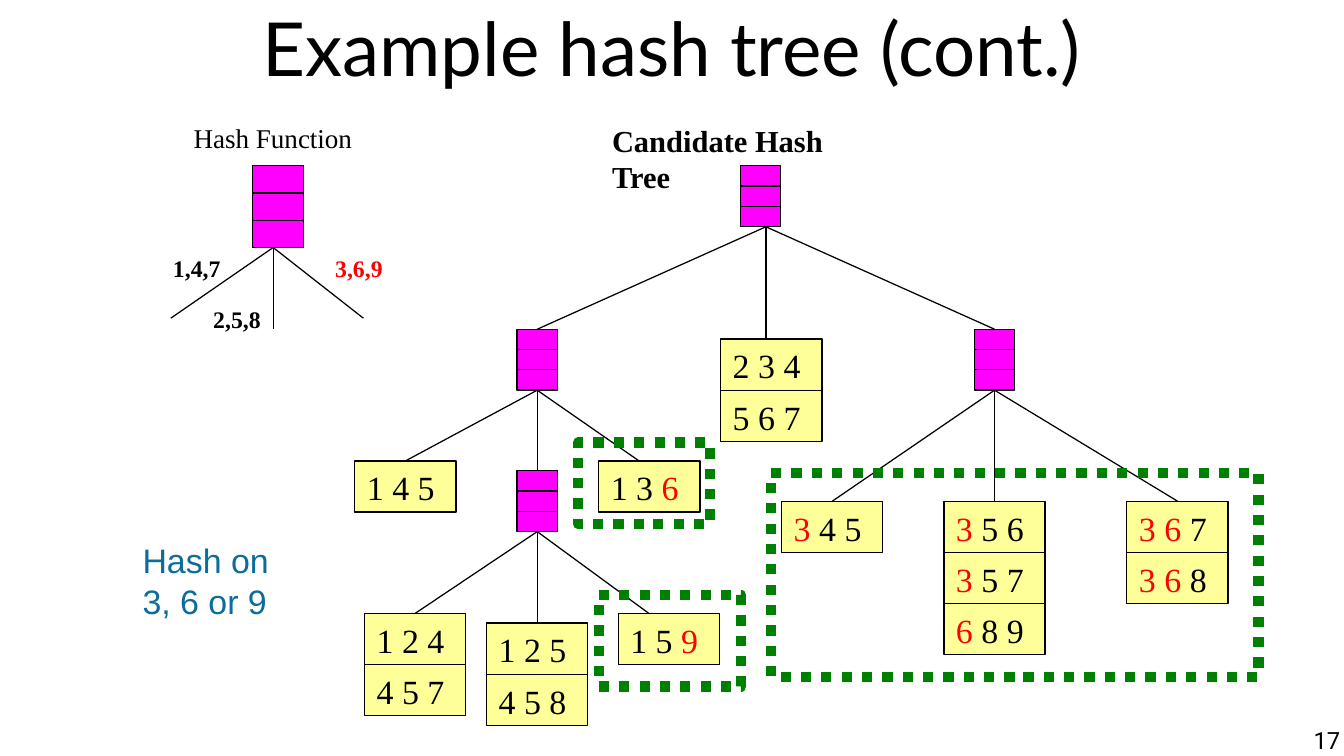
"""Build the slide that shows a candidate hash tree and its hash function."""
from dataclasses import dataclass
from typing import Optional

from lxml import etree
from pptx import Presentation
from pptx import util as u
from pptx.dml.color import RGBColor
from pptx.enum import dml, shapes, text


@dataclass(frozen=True)
class Theme:
    ink: str = "000000"
    hot: str = "FF0000"
    node: str = "FF00FF"
    leaf: str = "FFFF99"
    frame: str = "008000"
    note: str = "0C6D9C"
    serif: str = "Times New Roman"
    sans: str = "Arial"
    head: str = "Lato"
    foot: str = "Roboto"
    title: int = 44
    big: int = 20
    mid: int = 18
    small: int = 16
    tiny: int = 14
    thin: float = 0.75
    thick: float = 6


@dataclass(frozen=True)
class Node:
    name: str
    x: float
    y: float
    w: float = 0.33
    h: float = 0.5


@dataclass(frozen=True)
class Leaf:
    name: str
    x: float
    y: float
    rows: tuple[str, ...]


@dataclass(frozen=True)
class Link:
    """Join two boxes; a given x leaves that end free of the side's middle."""
    top: str
    low: str
    x1: Optional[float] = None
    x2: Optional[float] = None


@dataclass(frozen=True)
class Label:
    words: str
    x: float
    y: float
    w: float
    h: float
    size: int
    font: str = "Times New Roman"
    color: str = "000000"
    bold: bool = False
    wrap: bool = False
    pad: float = 0.1
    align: text.PP_ALIGN = text.PP_ALIGN.LEFT


T = Theme()
LEAF_W, LEAF_H = 0.83, 0.42

NODES = [
    Node("root", 6.07, 1.36),
    Node("left", 4.24, 2.7),
    Node("right", 7.99, 2.7),
    Node("deep", 4.24, 3.86),
    Node("hash", 2.07, 1.36, 0.42, 0.67),
]
LEAVES = [
    Leaf("234", 5.91, 2.78, ("2 3 4", "5 6 7")),
    Leaf("145", 2.91, 3.78, ("1 4 5",)),
    Leaf("136", 4.91, 3.78, ("1 3 *6*",)),
    Leaf("345", 6.41, 4.11, ("*3* 4 5",)),
    Leaf("356", 7.74, 4.11, ("*3* 5 6", "*3* 5 7", "*6* 8 9")),
    Leaf("367", 9.24, 4.11, ("*3 6* 7", "*3 6* 8")),
    Leaf("124", 2.99, 5.03, ("1 2 4", "4 5 7")),
    Leaf("125", 3.99, 5.11, ("1 2 5", "4 5 8")),
    Leaf("159", 5.07, 5.03, ("1 5 *9*",)),
]
LINKS = [
    Link("root", "left", x1=6.28),
    Link("root", "234", 6.28, 6.28),
    Link("root", "right", x1=6.28),
    Link("left", "145"),
    Link("left", "deep"),
    Link("left", "136", x2=5.24),
    Link("right", "345"),
    Link("right", "356"),
    Link("right", "367"),
    Link("deep", "124"),
    Link("deep", "125"),
    Link("deep", "159", x2=5.32),
]
RAYS = [(1.4, 2.61), (2.24, 2.7), (2.98, 2.61)]
FRAMES = [(4.91, 4.88, 1.17, 0.75), (6.32, 3.88, 4, 1.67), (4.74, 3.63, 1.08, 0.67)]
LABELS = [
    Label("1,4,7", 1.32, 2.03, 0.59, 0.33, T.tiny, bold=True),
    Label("2,5,8", 1.65, 2.45, 0.59, 0.33, T.tiny, bold=True),
    Label("3,6,9", 2.65, 2.03, 0.59, 0.33, T.tiny, color=T.hot, bold=True),
    Label("Hash Function", 1.49, 0.95, 1.5, 0.37, T.small),
    Label("Candidate Hash Tree", 4.92, 0.95, 2.46, 0.4, T.mid, bold=True),
    Label("Hash on 3, 6 or 9", 1.07, 4.38, 1.25, 0.77, T.big, T.sans, T.note, wrap=True),
    Label("17", 8.42, 5.95, 2.57, 0.25, T.tiny, T.foot, wrap=True, pad=0,
          align=text.PP_ALIGN.RIGHT),
]


def add_run(para, words: str, size: int, font: str, color: str, bold: bool = False) -> None:
    run = para.add_run()
    run.text = words
    run.font.size = u.Pt(size)
    run.font.name = font
    run.font.bold = bold
    run.font.color.rgb = RGBColor.from_string(color)


def set_frame(frame, pad: float, wrap: bool) -> None:
    frame.word_wrap = wrap
    frame.margin_left = frame.margin_right = u.Inches(pad)
    frame.margin_top = frame.margin_bottom = u.Inches(pad / 2)


def add_rect(slide, x: float, y: float, w: float, h: float, fill: Optional[str],
             line: str = T.ink, width: float = T.thin):
    rect = slide.shapes.add_shape(shapes.MSO_SHAPE.RECTANGLE, *map(u.Inches, (x, y, w, h)))
    rect.shadow.inherit = False
    if fill:
        rect.fill.solid()
        rect.fill.fore_color.rgb = RGBColor.from_string(fill)
    else:
        rect.fill.background()
    rect.line.color.rgb = RGBColor.from_string(line)
    rect.line.width = u.Pt(width)
    return rect


def add_line(slide, x1: int, y1: int, x2: int, y2: int):
    line = slide.shapes.add_connector(shapes.MSO_CONNECTOR.STRAIGHT, x1, y1, x2, y2)
    line.line.color.rgb = RGBColor.from_string(T.ink)
    line.line.width = u.Pt(T.thin)
    props = line._element.spPr
    etree.SubElement(props, "{http://schemas.openxmlformats.org/drawingml/2006/main}effectLst")
    return line


def add_node(slide, node: Node):
    box = add_rect(slide, node.x, node.y, node.w, node.h, T.node)
    for part in (1, 2):
        y = u.Inches(node.y + node.h * part / 3)
        add_line(slide, box.left, y, box.left + box.width, y)
    return box


def add_leaf(slide, leaf: Leaf):
    boxes = []
    for row, words in enumerate(leaf.rows):
        box = add_rect(slide, leaf.x, leaf.y + row * LEAF_H, LEAF_W, LEAF_H, T.leaf)
        set_frame(box.text_frame, 0.1, False)
        box.text_frame.vertical_anchor = text.MSO_ANCHOR.TOP
        para = box.text_frame.paragraphs[0]
        para.alignment = text.PP_ALIGN.LEFT
        for part, piece in enumerate(words.split("*")):
            if piece:
                add_run(para, piece, T.big, T.serif, T.hot if part % 2 else T.ink)
        boxes.append(box)
    return boxes[0]


def add_link(slide, link: Link, boxes: dict) -> None:
    top, low = boxes[link.top], boxes[link.low]
    x1, x2 = u.Inches(link.x1 or 0), u.Inches(link.x2 or 0)
    line = add_line(slide, x1, top.top + top.height, x2, low.top)
    if link.x1 is None:
        line.begin_connect(top, 2)
    if link.x2 is None:
        line.end_connect(low, 0)


def add_label(slide, label: Label) -> None:
    box = slide.shapes.add_textbox(*map(u.Inches, (label.x, label.y, label.w, label.h)))
    set_frame(box.text_frame, label.pad, label.wrap)
    para = box.text_frame.paragraphs[0]
    para.alignment = label.align
    add_run(para, label.words, label.size, label.font, label.color, label.bold)


def add_title(slide, words: str) -> None:
    title = slide.shapes.title
    title.left, title.top, title.width, title.height = map(u.Inches, (0.55, -0.05, 9.92, 0.86))
    set_frame(title.text_frame, 0, True)
    title.text_frame.vertical_anchor = text.MSO_ANCHOR.MIDDLE
    para = title.text_frame.paragraphs[0]
    para.alignment = text.PP_ALIGN.CENTER
    add_run(para, words, T.title, T.head, T.ink)


def main() -> None:
    deck = Presentation()
    deck.slide_width, deck.slide_height = u.Inches(11.02), u.Inches(6.2)
    slide = deck.slides.add_slide(deck.slide_layouts[5])
    add_title(slide, "Example hash tree (cont.)")
    boxes = {node.name: add_node(slide, node) for node in NODES}
    boxes.update({leaf.name: add_leaf(slide, leaf) for leaf in LEAVES})
    for link in LINKS:
        add_link(slide, link, boxes)
    for ray in RAYS:
        add_line(slide, *map(u.Inches, (2.24, 2.03, *ray)))
    for label in LABELS:
        add_label(slide, label)
    for area in FRAMES:
        frame = add_rect(slide, *area, None, T.frame, T.thick)
        frame.line.dash_style = dml.MSO_LINE.ROUND_DOT
    deck.save("out.pptx")


if __name__ == "__main__":
    main()
